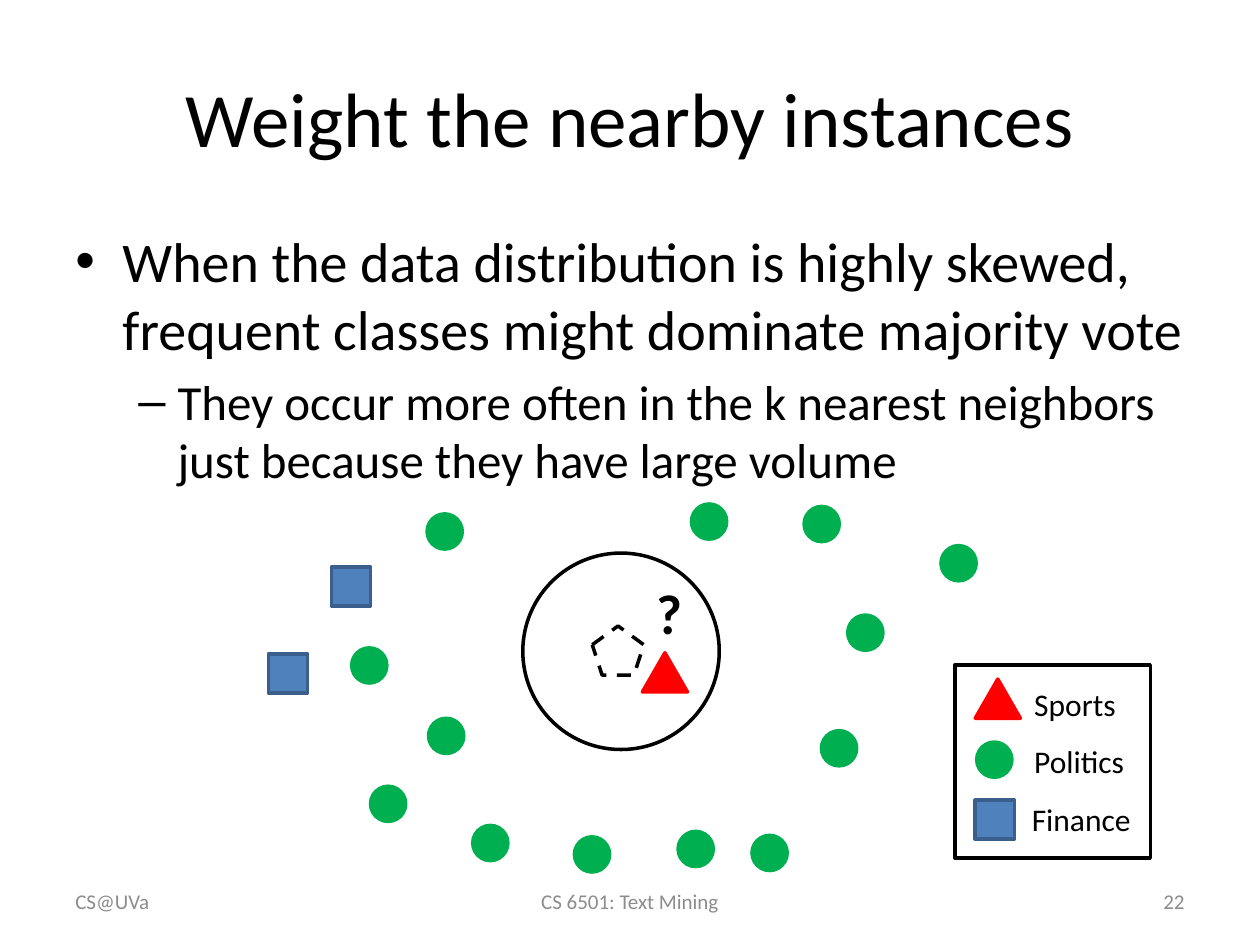
from lxml import etree
from pptx import Presentation
from pptx.dml.color import RGBColor
from pptx.enum.dml import MSO_LINE
from pptx.enum.shapes import MSO_SHAPE
from pptx.enum.text import MSO_ANCHOR, PP_ALIGN
from pptx.oxml.ns import qn
from pptx.util import Cm, Pt

LEFT, CENTER, RIGHT = PP_ALIGN.LEFT, PP_ALIGN.CENTER, PP_ALIGN.RIGHT
TOP, MIDDLE = MSO_ANCHOR.TOP, MSO_ANCHOR.MIDDLE
FONT = "Calibri"
COLORS = {"black": "000000", "gray": "8C8C8C", "red": "FF0000",
          "green": "00B050", "blue": "4F81BD", "dark blue": "3A5F8C"}

# Content; all lengths in centimetres
TITLE = "Weight the nearby instances"
BULLETS = [  # text, size, bullet, left margin, hanging indent
    ("When the data distribution is highly skewed, frequent classes might "
     "dominate majority vote", 32, "•", 0.95, 0.95),
    ("They occur more often in the k nearest neighbors just because they "
     "have large volume", 28, "–", 2.06, 0.79),
]
FOOTERS = [  # text, left, width, alignment
    ("CS@UVa", 1.27, 5.93, LEFT),
    ("CS 6501: Text Mining", 8.68, 8.04, CENTER),
    ("22", 18.2, 5.93, RIGHT),
]
MARKERS = {  # class: preset, width, height, fill, line
    "Sports": (MSO_SHAPE.ISOSCELES_TRIANGLE, 0.91, 0.79, "red", "red"),
    "Politics": (MSO_SHAPE.OVAL, 0.71, 0.71, "green", "green"),
    "Finance": (MSO_SHAPE.RECTANGLE, 0.79, 0.79, "blue", "dark blue"),
}
INSTANCES = {  # class: left, top of each data point
    "Sports": [(12.95, 13.16)],
    "Politics": [(7.09, 13.06), (11.58, 16.87), (9.53, 16.64), (8.64, 14.48),
                 (16.56, 14.73), (13.67, 16.76), (8.61, 10.36), (15.16, 16.84),
                 (17.09, 12.4), (16.21, 10.21), (7.47, 15.85), (13.94, 10.16),
                 (18.97, 11)],
    "Finance": [(6.68, 11.43), (5.41, 13.18)],
}
LEGEND = [  # class, marker left and top, label left and top
    ("Sports", (19.66, 13.69), (20.6, 13.69)),
    ("Politics", (19.69, 14.96), (20.6, 14.83)),
    ("Finance", (19.66, 16.13), (20.55, 16)),
]


def rgb(name):
    return RGBColor.from_string(COLORS[name])


def style(paragraph, size, color="black", bold=False, align=LEFT):
    paragraph.alignment = align
    font = paragraph.font
    font.name, font.size, font.bold = FONT, Pt(size), bold
    font.color.rgb = rgb(color)


def add_text(slide, box, text, size, color="black", bold=False, align=LEFT, anchor=TOP):
    frame = slide.shapes.add_textbox(*map(Cm, box)).text_frame
    frame.word_wrap = True
    frame.vertical_anchor = anchor
    frame.text = text
    style(frame.paragraphs[0], size, color, bold, align)
    return frame


def add_outline(slide, preset, box, line="black", fill=None):
    shape = slide.shapes.add_shape(preset, *map(Cm, box))
    shape.shadow.inherit = False
    if fill:
        shape.fill.solid()
        shape.fill.fore_color.rgb = rgb(fill)
    else:
        shape.fill.background()
    shape.line.color.rgb = rgb(line)
    shape.line.width = Pt(2)
    return shape


def add_marker(slide, name, position):
    preset, width, height, fill, line = MARKERS[name]
    add_outline(slide, preset, (*position, width, height), line, fill)


def set_bullet(paragraph, character, margin, hanging):
    properties = paragraph._p.get_or_add_pPr()
    properties.set("marL", str(Cm(margin)))
    properties.set("indent", str(-Cm(hanging)))
    etree.SubElement(properties, qn("a:buFont")).set("typeface", "Arial")
    etree.SubElement(properties, qn("a:buChar")).set("char", character)
    # Paragraph defaults must come after the bullet
    defaults = properties.find(qn("a:defRPr"))
    if defaults is not None:
        properties.append(defaults)


def main():
    presentation = Presentation()
    presentation.slide_width, presentation.slide_height = Cm(25.4), Cm(19.05)
    slide = presentation.slides.add_slide(presentation.slide_layouts[5])

    # Title
    title = slide.shapes.title
    title.left, title.top, title.width, title.height = map(Cm, (1.27, 0.76, 22.86, 3.18))
    title.text_frame.text = TITLE
    title.text_frame.vertical_anchor = MIDDLE
    style(title.text_frame.paragraphs[0], 44, align=CENTER)

    # Bulleted body
    body = add_text(slide, (1.27, 4.45, 22.86, 12.57), BULLETS[0][0], BULLETS[0][1])
    for index, (text, size, character, margin, hanging) in enumerate(BULLETS):
        paragraph = body.add_paragraph() if index else body.paragraphs[0]
        paragraph.text = text
        paragraph.level = index
        paragraph.space_before = Pt(size * 0.2)
        style(paragraph, size)
        set_bullet(paragraph, character, margin, hanging)

    # Footer
    for text, left, width, align in FOOTERS:
        add_text(slide, (left, 17.65, width, 1.02), text, 12, "gray",
                 align=align, anchor=MIDDLE)

    # Neighborhood of the unknown instance
    add_outline(slide, MSO_SHAPE.OVAL, (10.54, 11.15, 3.96, 3.96))
    unknown = add_outline(slide, MSO_SHAPE.REGULAR_PENTAGON, (11.94, 12.62, 1.04, 0.99))
    unknown.line.dash_style = MSO_LINE.DASH
    add_text(slide, (12.98, 11.53, 2.29, 1.63), "?", 32, bold=True)

    # Labelled instances
    for name, positions in INSTANCES.items():
        for position in positions:
            add_marker(slide, name, position)

    # Legend
    add_outline(slide, MSO_SHAPE.RECTANGLE, (19.25, 13.41, 3.94, 3.89))
    for name, marker_position, label_position in LEGEND:
        add_marker(slide, name, marker_position)
        add_text(slide, (*label_position, 3.53, 1.02), name, 18)

    presentation.save("out.pptx")


if __name__ == "__main__":
    main()
